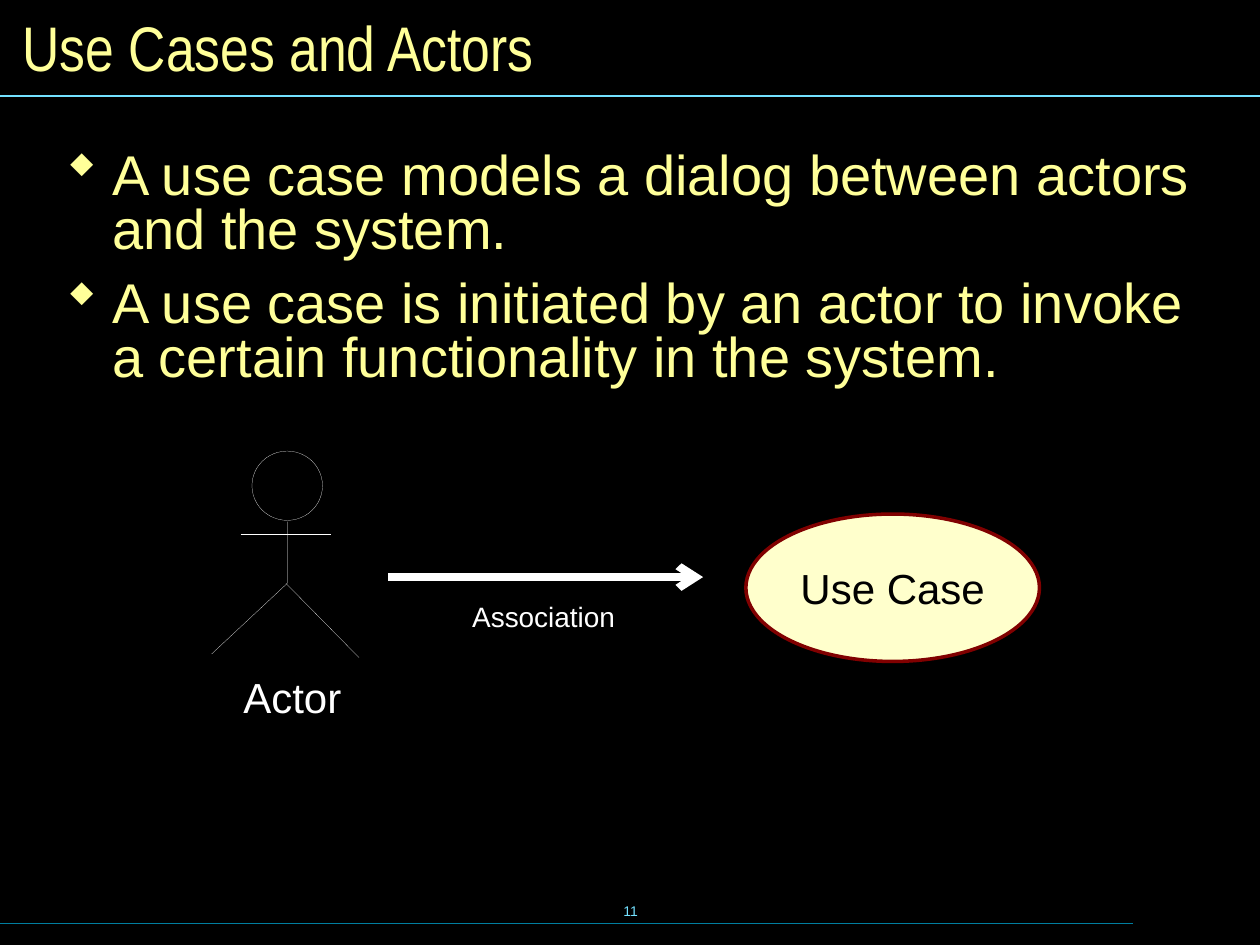
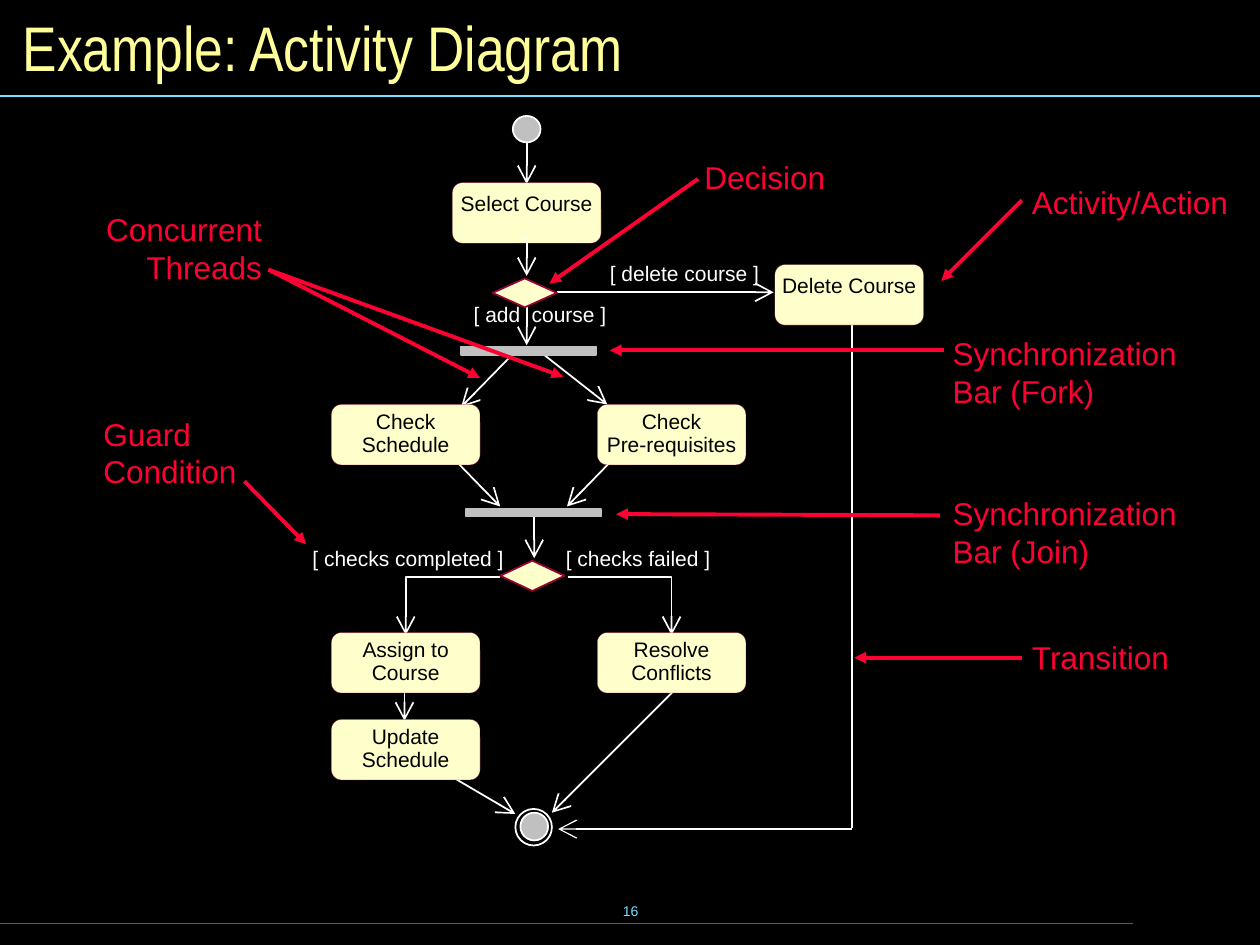
from dataclasses import dataclass

from lxml import etree
from pptx import Presentation
from pptx.dml.color import RGBColor
from pptx.enum.shapes import MSO_CONNECTOR, MSO_SHAPE
from pptx.enum.text import MSO_ANCHOR, MSO_AUTO_SIZE, PP_ALIGN
from pptx.oxml.ns import qn
from pptx.util import Inches, Pt

STRAIGHT = MSO_CONNECTOR.STRAIGHT
ELLIPSE, DIAMOND = MSO_SHAPE.OVAL, MSO_SHAPE.DIAMOND
RECT, ROUNDED = MSO_SHAPE.RECTANGLE, MSO_SHAPE.ROUNDED_RECTANGLE
LEFT, CENTER, RIGHT = PP_ALIGN.LEFT, PP_ALIGN.CENTER, PP_ALIGN.RIGHT
TOP, MIDDLE = MSO_ANCHOR.TOP, MSO_ANCHOR.MIDDLE
TITLE_ONLY = 5
HAIRLINE = 0.1

Point = tuple[float, float]
Box = tuple[float, float, float, float]


@dataclass(frozen=True)
class Theme:
    font: str = "Arial"
    title_font: str = "Arial Narrow"
    bullet_font: str = "Wingdings"
    background: str = "000000"
    text: str = "FFFF99"
    band: str = "73E1FF"
    footer_band: str = "007E9F"
    ink: str = "FFFFFF"
    node_ink: str = "000000"
    node_fill: str = "FFFFCC"
    node_line: str = "990033"
    use_case_line: str = "800000"
    bar: str = "C0C0C0"
    callout: str = "FF0033"
    title_size: int = 36
    body_size: int = 32
    figure_size: int = 24
    callout_size: int = 18
    association_size: int = 16
    label_size: int = 12
    number_size: int = 8


THEME = Theme()


@dataclass(frozen=True)
class Text:
    box: Box
    lines: tuple[str, ...]
    size: int = THEME.label_size
    color: str = THEME.ink
    align: PP_ALIGN = LEFT
    anchor: MSO_ANCHOR = TOP
    inset: Point = (0, 0)
    wrap: bool = False


@dataclass(frozen=True)
class Path:
    points: tuple[Point, ...]
    color: str = THEME.ink
    width: float = 1
    arrow: str | None = "arrow"


@dataclass(frozen=True)
class Figure:
    kind: MSO_SHAPE
    box: Box
    fill: str | None = None
    line: str = THEME.ink
    width: float = 1


@dataclass(frozen=True)
class Activity:
    left: float
    top: float
    lines: tuple[str, ...]


@dataclass(frozen=True)
class Callout:
    box: Box
    lines: tuple[str, ...]
    start: Point
    targets: tuple[Point, ...]
    align: PP_ALIGN = LEFT


def rgb(color: str) -> RGBColor:
    return RGBColor.from_string(color)


def fill_frame(tf, lines, size, color, align=CENTER, anchor=MIDDLE,
               inset=(0, 0), wrap=False, font=THEME.font):
    tf.auto_size = MSO_AUTO_SIZE.NONE
    tf.word_wrap = wrap
    tf.vertical_anchor = anchor
    tf.margin_left = tf.margin_right = Inches(inset[0])
    tf.margin_top = tf.margin_bottom = Inches(inset[1])
    for i, line in enumerate(lines):
        p = tf.paragraphs[0] if i == 0 else tf.add_paragraph()
        p.text = line
        p.alignment = align
        p.font.name = font
        p.font.size = Pt(size)
        p.font.color.rgb = rgb(color)
    return tf


def add_text(s, t: Text):
    sp = s.shapes.add_textbox(*map(Inches, t.box))
    return fill_frame(sp.text_frame, t.lines, t.size, t.color, t.align,
                      t.anchor, t.inset, t.wrap)


def add_path(s, path: Path):
    points = [(Inches(x), Inches(y)) for x, y in path.points]
    if len(points) == 2:
        sp = s.shapes.add_connector(STRAIGHT, *points[0], *points[1])
    else:
        builder = s.shapes.build_freeform(*points[0])
        builder.add_line_segments(points[1:], close=False)
        sp = builder.convert_to_shape()
        sp.fill.background()
    sp.line.color.rgb = rgb(path.color)
    sp.line.width = Pt(path.width)
    sp_pr = sp.element.spPr
    if path.arrow:
        size = "lg" if path.width <= 1 else "med"
        etree.SubElement(sp_pr.find(qn("a:ln")), qn("a:tailEnd"),
                         type=path.arrow, w=size, len=size)
    etree.SubElement(sp_pr, qn("a:effectLst"))


def add_figure(s, f: Figure):
    sp = s.shapes.add_shape(f.kind, *map(Inches, f.box))
    sp.shadow.inherit = False
    if f.fill:
        sp.fill.solid()
        sp.fill.fore_color.rgb = rgb(f.fill)
    else:
        sp.fill.background()
    sp.line.color.rgb = rgb(f.line)
    sp.line.width = Pt(f.width)
    return sp


def add_activity(s, a: Activity):
    box = (a.left, a.top, 1.18, 0.48)
    sp = add_figure(s, Figure(ROUNDED, box, THEME.node_fill, THEME.node_line, HAIRLINE))
    inset = 0.04 if len(a.lines) == 1 else 0.01
    tf = fill_frame(sp.text_frame, a.lines, THEME.label_size, THEME.node_ink,
                    anchor=TOP, inset=(0, inset))
    for p in tf.paragraphs[1:]:
        p.line_spacing = Pt(13)


def add_callout(s, c: Callout):
    for target in c.targets:
        add_path(s, Path((c.start, target), THEME.callout, 2.25, "triangle"))
    add_text(s, Text(c.box, c.lines, THEME.callout_size, THEME.callout, c.align,
                     inset=(0.12, 0.06), wrap=True))


def add_bullets(s, box: Box, lines: tuple[str, ...]):
    tf = add_text(s, Text(box, lines, THEME.body_size, THEME.text,
                          inset=(0.12, 0.06), wrap=True))
    for p in tf.paragraphs:
        p.line_spacing = 0.8
        p.space_before = Pt(12)
        p_pr = p._p.get_or_add_pPr()
        p_pr.set("marL", str(Inches(0.37)))
        p_pr.set("indent", str(-Inches(0.37)))
        color = etree.SubElement(p_pr, qn("a:buClr"))
        etree.SubElement(color, qn("a:srgbClr"), val=THEME.text)
        etree.SubElement(p_pr, qn("a:buFont"), typeface=THEME.bullet_font,
                         pitchFamily="2", charset="2")
        etree.SubElement(p_pr, qn("a:buChar"), char="w")


def add_slide(prs, title: str, number: str):
    s = prs.slides.add_slide(prs.slide_layouts[TITLE_ONLY])
    add_text(s, Text((3.42, 6.98, 3.17, 0.5), (number,), THEME.number_size,
                     THEME.band, CENTER, MIDDLE, (0.1, 0.05)))
    add_path(s, Path(((0, 7.33), (8.99, 7.33)), THEME.footer_band, arrow=None))
    add_path(s, Path(((0, 0.76), (10, 0.76)), THEME.band, arrow=None))
    sp = s.shapes.title
    sp.left, sp.top, sp.width, sp.height = map(Inches, (0.08, 0.08, 9.84, 0.58))
    fill_frame(sp.text_frame, (title,), THEME.title_size, THEME.text, LEFT,
               inset=(0.1, 0.05), wrap=True, font=THEME.title_font)
    return s


def build_use_cases(prs):
    s = add_slide(prs, "Use Cases and Actors", "11")
    add_bullets(s, (0.4, 1.15, 9.29, 2.43), (
        "A use case models a dialog between actors and the system.",
        "A use case is initiated by an actor to invoke a certain functionality in the system.",
    ))
    add_figure(s, Figure(ELLIPSE, (2, 3.58, 0.56, 0.55), width=HAIRLINE))
    for limb in (
        Path(((2.28, 4.14), (2.28, 4.63), (1.68, 5.19)), width=HAIRLINE, arrow=None),
        Path(((2.27, 4.63), (2.85, 5.22)), width=HAIRLINE, arrow=None),
        Path(((1.91, 4.24), (2.63, 4.24)), width=0.75, arrow=None),
    ):
        add_path(s, limb)
    add_text(s, Text((1.83, 5.28, 0.98, 0.5), ("Actor",), THEME.figure_size,
                     align=CENTER, inset=(0.1, 0.05)))
    add_path(s, Path(((3.08, 4.58), (5.58, 4.58)), width=4.5))
    add_text(s, Text((3.63, 4.7, 1.37, 0.39), ("Association",),
                     THEME.association_size, align=CENTER, inset=(0.12, 0.06)))
    use_case = add_figure(s, Figure(ELLIPSE, (5.92, 4.08, 2.33, 1.17),
                                    THEME.node_fill, THEME.use_case_line, 2))
    fill_frame(use_case.text_frame, ("Use Case",), THEME.figure_size, THEME.node_ink)


def build_activity_diagram(prs):
    s = add_slide(prs, "Example: Activity Diagram", "16")
    left, right = 2.63, 4.74
    for path in (
        Path(((4.18, 1.13), (4.18, 1.46))),
        Path(((4.18, 2.43), (4.18, 2.74))),
        Path(((4.09, 2.79), (3.66, 3.23))),
        Path(((4.31, 2.81), (4.82, 3.21))),
        Path(((3.61, 3.65), (3.97, 4.02))),
        Path(((4.86, 3.65), (4.5, 4.02))),
        Path(((4.24, 4.08), (4.24, 4.43))),
        Path(((3.97, 4.58), (3.22, 4.58), (3.22, 5.04))),
        Path(((4.51, 4.58), (5.33, 4.58), (5.33, 5.04))),
        Path(((3.21, 5.48), (3.21, 5.72))),
        Path(((3.51, 6.12), (4.09, 6.46))),
        Path(((5.35, 5.48), (4.38, 6.45))),
        Path(((4.42, 2.32), (6.14, 2.32))),
        Path(((6.76, 2.56), (6.76, 6.57)), arrow=None),
        Path(((6.76, 6.58), (4.43, 6.58)), width=0.75),
    ):
        add_path(s, path)
    for activity in (
        Activity(3.59, 1.45, ("Select Course",)),
        Activity(6.15, 2.1, ("Delete Course",)),
        Activity(left, 3.21, ("Check", "Schedule")),
        Activity(right, 3.21, ("Check", "Pre-requisites")),
        Activity(left, 5.02, ("Assign to", "Course")),
        Activity(right, 5.02, ("Resolve", "Conflicts")),
        Activity(left, 5.71, ("Update", "Schedule")),
    ):
        add_activity(s, activity)
    add_path(s, Path(((4.18, 1.88), (4.18, 2.19))))
    for figure in (
        Figure(ELLIPSE, (4.07, 0.92, 0.22, 0.21), THEME.bar),
        Figure(DIAMOND, (3.91, 2.21, 0.51, 0.23), THEME.node_fill, THEME.node_line),
        Figure(DIAMOND, (3.97, 4.45, 0.51, 0.24), THEME.node_fill, THEME.node_line),
        Figure(RECT, (3.66, 2.75, 1.07, 0.07), THEME.bar, THEME.bar),
        Figure(RECT, (3.7, 4.04, 1.07, 0.06), THEME.bar, THEME.bar),
        Figure(ELLIPSE, (4.09, 6.42, 0.29, 0.29)),
        Figure(ELLIPSE, (4.13, 6.45, 0.22, 0.22), THEME.bar),
    ):
        add_figure(s, figure)
    for x, y, width, guard in (
        (4.84, 2.07, 1.19, "[ delete course ]"),
        (3.76, 2.39, 0.37, "[ add"),
        (4.22, 2.39, 0.59, "course ]"),
        (2.48, 4.33, 1.52, "[ checks completed ]"),
        (4.49, 4.33, 1.15, "[ checks failed ]"),
    ):
        add_text(s, Text((x, y, width, 0.2), (guard,)))
    for callout in (
        Callout((5.47, 1.19, 1.22, 0.42), ("Decision",), (5.54, 1.42), ((4.36, 2.25),)),
        Callout((8.07, 1.39, 1.93, 0.42), ("Activity/Action",), (8.11, 1.59),
                ((7.47, 2.23),)),
        Callout((0.53, 1.61, 1.67, 0.72), ("Concurrent Threads",), (2.13, 2.14),
                ((3.81, 3), (4.47, 2.99)), RIGHT),
        Callout((7.44, 2.59, 2.05, 0.72), ("Synchronization", "Bar (Fork)"),
                (7.49, 2.78), ((4.84, 2.78),)),
        Callout((0.7, 3.23, 1.31, 0.72), ("Guard", "Condition"), (1.94, 3.82),
                ((2.43, 4.32),)),
        Callout((7.44, 3.86, 2.05, 0.72), ("Synchronization", "Bar (Join)"),
                (7.46, 4.09), ((4.89, 4.08),)),
        Callout((8.07, 5, 1.42, 0.42), ("Transition",), (8.11, 5.22), ((6.78, 5.22),)),
    ):
        add_callout(s, callout)


def main():
    prs = Presentation()
    prs.slide_width, prs.slide_height = Inches(10), Inches(7.5)
    background = prs.slide_master.background.fill
    background.solid()
    background.fore_color.rgb = rgb(THEME.background)
    build_use_cases(prs)
    build_activity_diagram(prs)
    prs.save("out.pptx")


if __name__ == "__main__":
    main()
